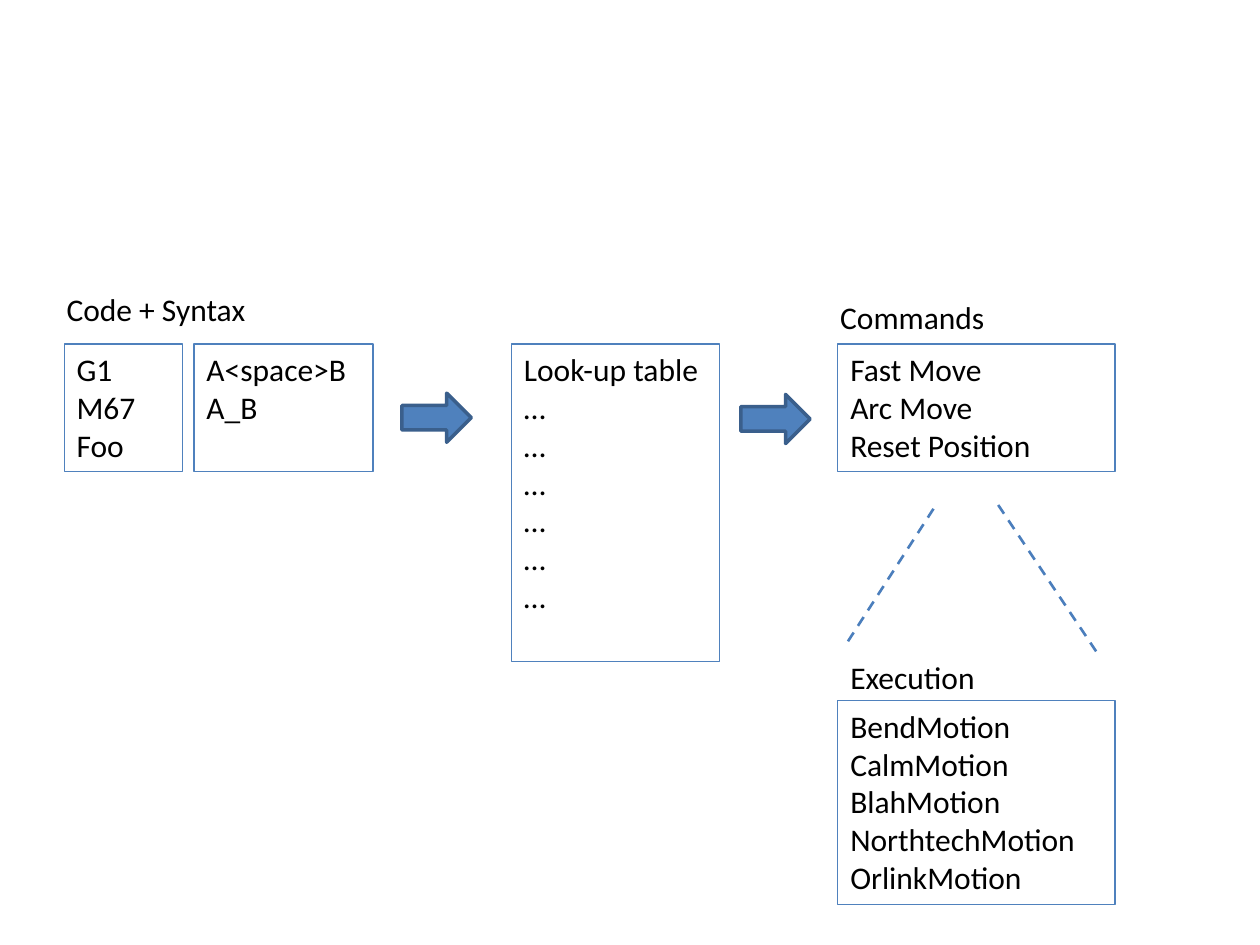
from lxml import etree
from pptx import Presentation
from pptx.dml.color import RGBColor
from pptx.enum.dml import MSO_LINE
from pptx.enum.shapes import MSO_CONNECTOR, MSO_SHAPE
from pptx.enum.text import MSO_ANCHOR, PP_ALIGN
from pptx.oxml.ns import qn
from pptx.util import Inches, Pt

RECTANGLE = MSO_SHAPE.RECTANGLE
RIGHT_ARROW = MSO_SHAPE.RIGHT_ARROW
STRAIGHT = MSO_CONNECTOR.STRAIGHT
DASH = MSO_LINE.DASH
TOP = MSO_ANCHOR.TOP
LEFT = PP_ALIGN.LEFT

BLUE = RGBColor(0x4F, 0x81, 0xBD)
DARK_BLUE = RGBColor(0x3A, 0x5F, 0x8C)
DASH_BLUE = RGBColor(0x4B, 0x7E, 0xBC)
BLACK = RGBColor(0, 0, 0)

FONT_FORMAT = {"name": "Calibri", "size": Pt(18)}
FRAME_FORMAT = {"word_wrap": True, "vertical_anchor": TOP}

ROW_TOP = 2.73
ROW_HEIGHT = 1.01
COMMANDS_LEFT = 6.65
COMMANDS_WIDTH = 2.2
LABEL_SIZE = (2.44, 0.4)
ARROW_SIZE = (0.55, 0.39)


def apply_format(target, values):
    for name, value in values.items():
        setattr(target, name, value)


def write_lines(shape, lines):
    frame = shape.text_frame
    frame.text = "\n".join(lines)
    apply_format(frame, FRAME_FORMAT)
    for paragraph in frame.paragraphs:
        paragraph.alignment = LEFT
        apply_format(paragraph.font, FONT_FORMAT)
        paragraph.font.color.rgb = BLACK


def style_line(line, color, width):
    line.color.rgb = color
    line.width = Pt(width)


def add_label(slide, left, top, text):
    box = slide.shapes.add_textbox(*map(Inches, (left, top, *LABEL_SIZE)))
    write_lines(box, [text])


def add_list_box(slide, left, top, width, height, lines):
    shape = slide.shapes.add_shape(RECTANGLE, *map(Inches, (left, top, width, height)))
    shape.shadow.inherit = False
    shape.fill.background()
    style_line(shape.line, BLUE, 0.75)
    write_lines(shape, lines)


def add_flow_arrow(slide, left, top):
    arrow = slide.shapes.add_shape(RIGHT_ARROW, *map(Inches, (left, top, *ARROW_SIZE)))
    arrow.shadow.inherit = False
    arrow.fill.solid()
    arrow.fill.fore_color.rgb = BLUE
    style_line(arrow.line, DARK_BLUE, 2)


def add_dashed_line(slide, start, end):
    connector = slide.shapes.add_connector(STRAIGHT, *map(Inches, (*start, *end)))
    style_line(connector.line, DASH_BLUE, 1.5)
    connector.line.dash_style = DASH
    etree.SubElement(connector._element.spPr, qn("a:effectLst"))


def add_code_region(slide, left, top):
    add_label(slide, left - 0.08, top - 0.48, "Code + Syntax")
    add_list_box(slide, left, top, 0.94, ROW_HEIGHT, ["G1", "M67", "Foo"])
    add_list_box(slide, left + 1.03, top, 1.42, ROW_HEIGHT, ["A<space>B", "A_B"])


def add_lookup_region(slide, left, top):
    add_list_box(slide, left, top, 1.65, 2.52, ["Look-up table"] + ["…"] * 6)


def add_commands_region(slide, left, top):
    add_label(slide, left - 0.08, top - 0.41, "Commands")
    add_list_box(slide, left, top, COMMANDS_WIDTH, ROW_HEIGHT,
                 ["Fast Move", "Arc Move", "Reset Position"])
    add_dashed_line(slide, (left + 0.08, top + 2.36), (left + 0.79, top + 1.26))
    add_dashed_line(slide, (left + 2.05, top + 2.44), (left + 1.26, top + 1.26))


def add_execution_region(slide, left, top):
    add_list_box(slide, left, top, COMMANDS_WIDTH, 1.62,
                 ["BendMotion", "CalmMotion", "BlahMotion",
                  "NorthtechMotion", "OrlinkMotion"])
    add_label(slide, left, top - 0.39, "Execution")


presentation = Presentation()
presentation.slide_width = Inches(10)
presentation.slide_height = Inches(7.5)
slide = presentation.slides.add_slide(presentation.slide_layouts[6])

add_code_region(slide, 0.51, ROW_TOP)
add_flow_arrow(slide, 3.19, ROW_TOP + 0.39)
add_lookup_region(slide, 4.06, ROW_TOP)
add_flow_arrow(slide, 5.88, ROW_TOP + 0.4)
add_commands_region(slide, COMMANDS_LEFT, ROW_TOP)
add_execution_region(slide, COMMANDS_LEFT, 5.56)

presentation.save("out.pptx")
